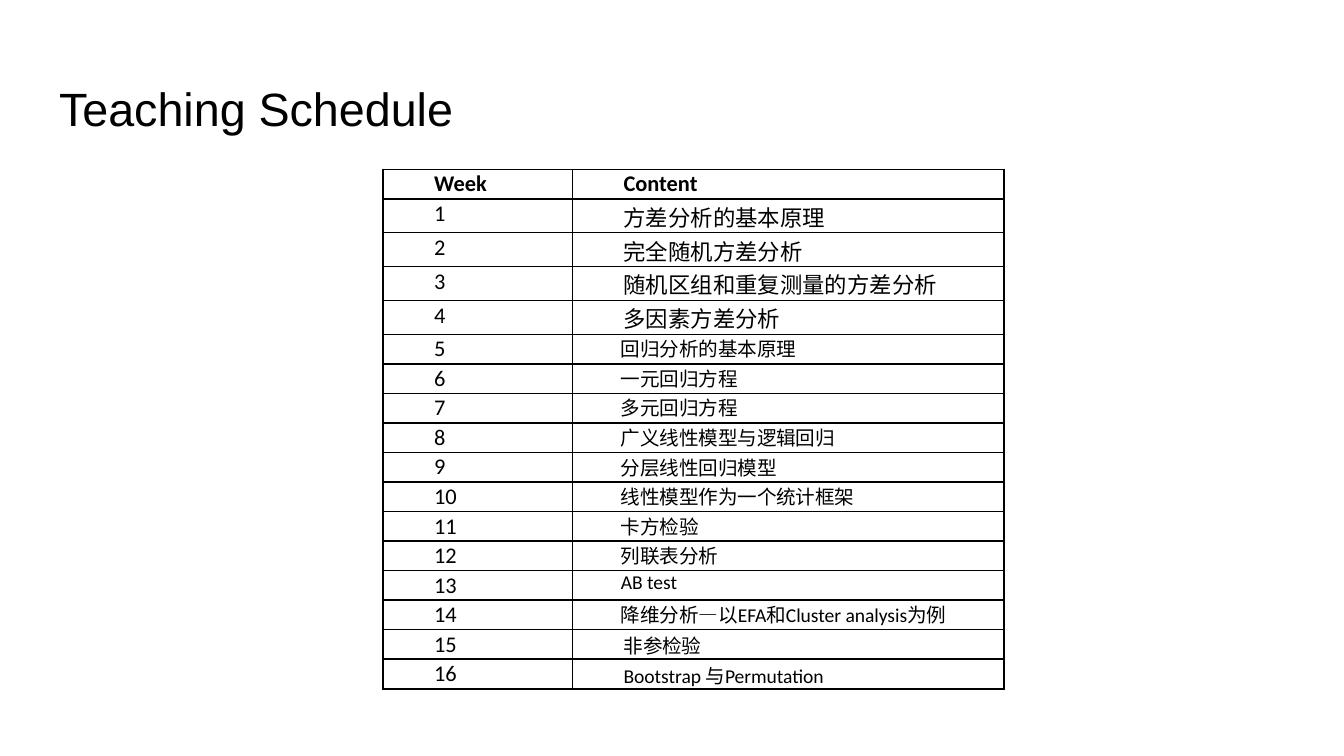
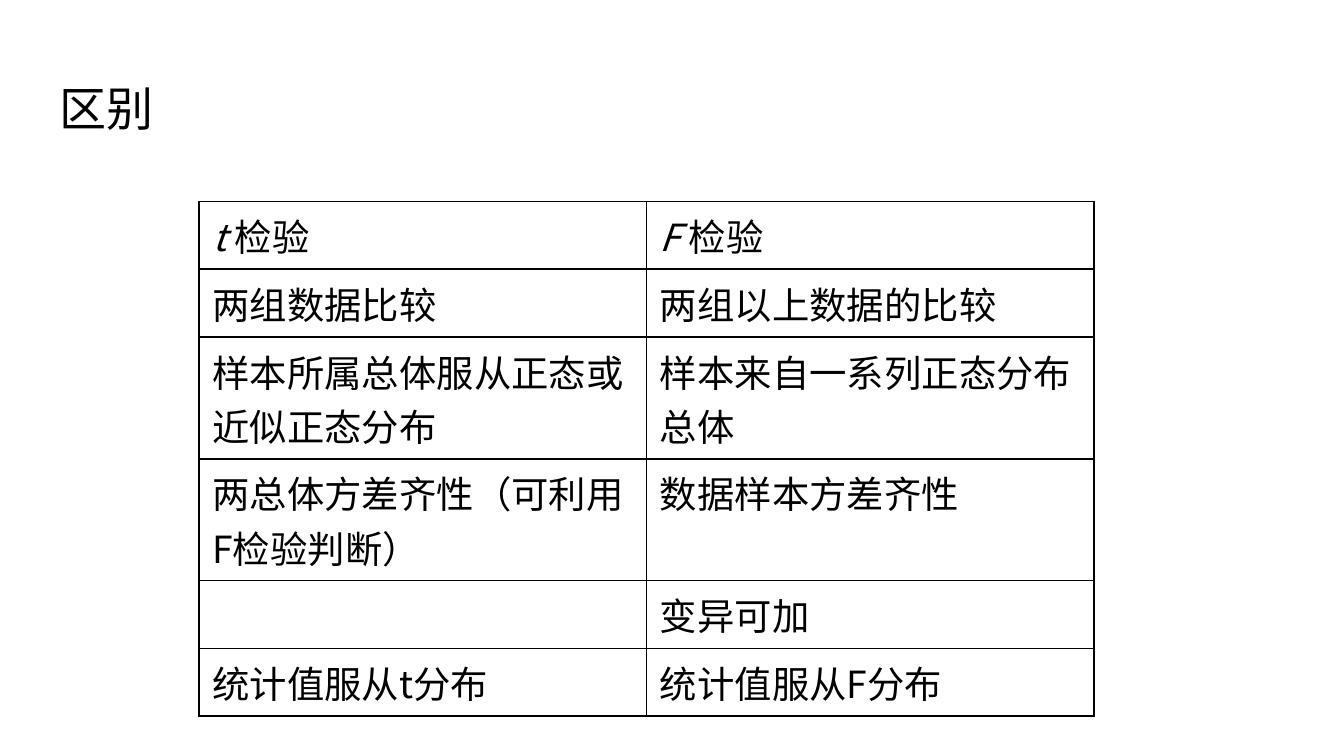
from lxml.etree import SubElement
from pptx import Presentation
from pptx.dml.color import RGBColor
from pptx.enum.text import MSO_ANCHOR as Anchor, MSO_AUTO_SIZE as AutoSize, PP_ALIGN as Align
from pptx.oxml.ns import qn
from pptx.util import Inches, Pt

BLACK, WHITE = "000000", "FFFFFF"
CJK_FONT = "Noto Sans CJK SC"
TITLE_ONLY = 5
SLIDE_WIDTH = Inches(10)
SLIDE_HEIGHT = SLIDE_WIDTH * 9 // 16

SCHEDULE = [
    "方差分析的基本原理", "完全随机方差分析", "随机区组和重复测量的方差分析",
    "多因素方差分析", "回归分析的基本原理", "一元回归方程", "多元回归方程",
    "广义线性模型与逻辑回归", "分层线性回归模型", "线性模型作为一个统计框架",
    "卡方检验", "列联表分析", "AB test",
    "降维分析—以EFA和Cluster analysis为例", "非参检验", "Bootstrap 与Permutation",
]
DIFFERENCES = [
    (("t ", "检验"), ("F ", "检验")),
    ("两组数据比较", "两组以上数据的比较"),
    ("样本所属总体服从正态或近似正态分布", "样本来自一系列正态分布总体"),
    ("两总体方差齐性（可利用F检验判断）", "数据样本方差齐性"),
    ("", "变异可加"),
    ("统计值服从t分布", "统计值服从F分布"),
]


def color(value):
    """Return the colour for a hex string."""
    return RGBColor.from_string(value)


def style_paragraph(paragraph, size, font_name, bold=False):
    """Set the Latin and East Asian fonts, size and weight of a paragraph."""
    font = paragraph.font
    font.name, font.size, font.bold = font_name, Pt(size), bold
    font.color.rgb = color(BLACK)
    properties = paragraph._p.get_or_add_pPr().find(qn("a:defRPr"))
    east_asian = SubElement(properties, qn("a:ea"), typeface=CJK_FONT)
    properties.find(qn("a:latin")).addnext(east_asian)


def add_titled_slide(presentation, title, size, font_name):
    """Add a slide with a left-aligned title."""
    slide = presentation.slides.add_slide(presentation.slide_layouts[TITLE_ONLY])
    shape = slide.shapes.title
    shape.left, shape.top = Inches(0.34), Inches(0.49)
    shape.width, shape.height = Inches(9.32), Inches(0.63)
    frame = shape.text_frame
    frame.text = title
    frame.auto_size, frame.vertical_anchor = AutoSize.NONE, Anchor.MIDDLE
    frame.margin_left = frame.margin_right = Inches(0.1)
    frame.margin_top = frame.margin_bottom = Inches(0.1)
    paragraph = frame.paragraphs[0]
    paragraph.alignment = Align.LEFT
    style_paragraph(paragraph, size, font_name)
    return slide


def add_borders(cell):
    """Draw a one-point line on each side of a cell."""
    properties = cell._tc.get_or_add_tcPr()
    for side in ("lnL", "lnR", "lnT", "lnB"):
        line = SubElement(properties, qn(f"a:{side}"), w=str(Pt(1)))
        fill = SubElement(line, qn("a:solidFill"))
        SubElement(fill, qn("a:srgbClr"), val=BLACK)


def add_grid(slide, left, top, column_widths, row_height, row_count):
    """Add a plain table with black lines."""
    frame = slide.shapes.add_table(
        row_count, len(column_widths), Inches(left), Inches(top),
        Inches(sum(column_widths)), Inches(row_height * row_count))
    table = frame.table
    table.first_row = table.horz_banding = False
    for column, width in zip(table.columns, column_widths):
        column.width = Inches(width)
    for row in table.rows:
        row.height = Inches(row_height)
    for cell in table.iter_cells():
        add_borders(cell)
        cell.fill.solid()
        cell.fill.fore_color.rgb = color(WHITE)
    return table


def fill_schedule_cell(cell, text, size=12, bold=False, side=0.09, top=0.01):
    """Write one schedule entry with a first-line indent."""
    cell.text = text
    cell.margin_left = cell.margin_right = Inches(side)
    cell.margin_top, cell.margin_bottom = Inches(top), 0
    paragraph = cell.text_frame.paragraphs[0]
    style_paragraph(paragraph, size, "Calibri", bold)
    paragraph._p.get_or_add_pPr().set("indent", str(Inches(0.29)))


def fill_difference_cell(cell, content):
    """Write plain text, or a pair of an italic symbol and plain text."""
    symbol, text = content if isinstance(content, tuple) else ("", content)
    paragraph = cell.text_frame.paragraphs[0]
    style_paragraph(paragraph, 20, CJK_FONT)
    for part, italic in ((symbol, True), (text, False)):
        if part:
            run = paragraph.add_run()
            run.text, run.font.italic = part, italic


def add_schedule_slide(presentation):
    """Add the weekly teaching schedule."""
    slide = add_titled_slide(presentation, "Teaching Schedule", 25, "Arial")
    table = add_grid(slide, 2.85, 1.26, (1.41, 3.21), 0.22, len(SCHEDULE) + 1)
    for column, heading in enumerate(("Week", "Content")):
        fill_schedule_cell(table.cell(0, column), heading, bold=True)
    for week, content in enumerate(SCHEDULE, start=1):
        fill_schedule_cell(table.cell(week, 0), str(week))
        size = 12 if week < 5 else 10.5
        side, top = (0.07, 0) if 5 <= week <= 14 else (0.09, 0.01)
        fill_schedule_cell(table.cell(week, 1), content, size, side=side, top=top)


def add_difference_slide(presentation):
    """Add the comparison of the t and F tests."""
    slide = add_titled_slide(presentation, "区别", 25.2, CJK_FONT)
    table = add_grid(slide, 1.48, 1.5, (3.33, 3.33), 0.41, len(DIFFERENCES))
    for row, contents in enumerate(DIFFERENCES):
        for column, content in enumerate(contents):
            fill_difference_cell(table.cell(row, column), content)


def main():
    """Build and save the presentation."""
    presentation = Presentation()
    presentation.slide_width, presentation.slide_height = SLIDE_WIDTH, SLIDE_HEIGHT
    add_schedule_slide(presentation)
    add_difference_slide(presentation)
    presentation.save("out.pptx")


if __name__ == "__main__":
    main()
